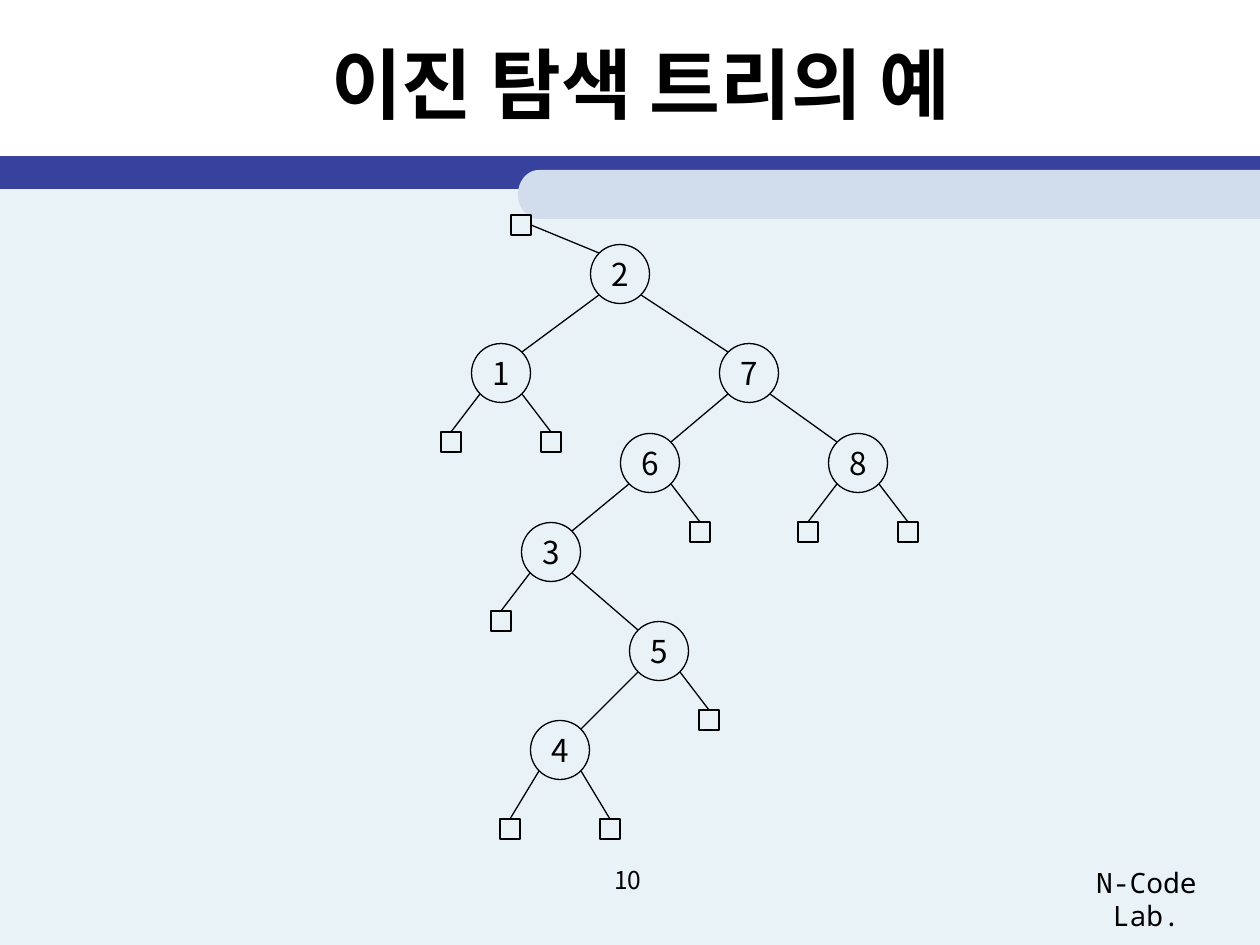
from math import cos, pi, sin

from pptx import Presentation
from pptx import util as u
from pptx.dml.color import RGBColor
from pptx.enum import shapes, text
from pptx.oxml.ns import qn

EMU_PER_PX = 914400 / 126
BLACK = RGBColor(0x00, 0x00, 0x00)
PALE_BLUE = RGBColor(0xE8, 0xF2, 0xF7)
INDIGO = RGBColor(0x36, 0x42, 0x9B)
LIGHT_BLUE = RGBColor(0xD1, 0xDD, 0xEC)
SANS = "Noto Sans CJK KR"
MONO = "Noto Sans Mono"

NODE_SIZE = 59
LEAF_SIZE = 20
DIAGONAL = 21
LEAF_DX = 50
LEAF_DY = 69
LAST_LEAF_DY = 79

NODES = {
    2: (179, 60),
    1: (60, 159),
    7: (308, 159),
    6: (209, 249),
    8: (417, 249),
    3: (110, 338),
    5: (218, 437),
    4: (119, 536),
}
CHILDREN = {
    2: (1, 7),
    1: (None, None),
    7: (6, 8),
    6: (3, None),
    8: (None, None),
    3: (None, 5),
    5: (4, None),
    4: (None, None),
}
HEAD_LEAF = (80, 11)


def px(*values):
    return [u.Emu(round(value * EMU_PER_PX)) for value in values]


def style_text(text_frame, size, font_name=SANS, bold=False):
    paragraph = text_frame.paragraphs[0]
    paragraph.alignment = text.PP_ALIGN.CENTER
    for run in paragraph.runs:
        font = run.font
        font.name = font_name
        font.size = u.Pt(size)
        font.bold = bold
        font.color.rgb = BLACK
        east_asian = run._r.get_or_add_rPr().makeelement(qn("a:ea"), {"typeface": font_name})
        font._element.find(qn("a:latin")).addnext(east_asian)


def fill_shape(shape, color):
    shape.shadow.inherit = False
    shape.fill.solid()
    shape.fill.fore_color.rgb = color
    shape.line.fill.background()


def add_outline(slide, kind, center_x, center_y, size):
    left, top = center_x - size / 2, center_y - size / 2
    shape = slide.shapes.add_shape(kind, *px(left, top, size, size))
    shape.shadow.inherit = False
    shape.fill.background()
    shape.line.color.rgb = BLACK
    shape.line.width = u.Pt(0.75)
    return shape


def add_edge(slide, start, end):
    connector = slide.shapes.add_connector(shapes.MSO_CONNECTOR.STRAIGHT, *px(*start, *end))
    connector.line.color.rgb = BLACK
    connector.line.width = u.Pt(0.75)
    properties = connector._element.spPr
    properties.append(properties.makeelement(qn("a:effectLst"), {}))


def add_node(slide, key, center_x, center_y):
    shape = add_outline(slide, shapes.MSO_SHAPE.OVAL, center_x, center_y, NODE_SIZE)
    text_frame = shape.text_frame
    text_frame.text = str(key)
    text_frame.word_wrap = False
    text_frame.vertical_anchor = text.MSO_ANCHOR.MIDDLE
    style_text(text_frame, 18)


def add_leaf(slide, center_x, center_y):
    add_outline(slide, shapes.MSO_SHAPE.RECTANGLE, center_x, center_y, LEAF_SIZE)


def add_background(slide, left, top, width, height):
    bands = [(0, height, PALE_BLUE), (-20, 33, INDIGO)]
    for offset, band_height, color in bands:
        band = slide.shapes.add_shape(
            shapes.MSO_SHAPE.RECTANGLE, *px(left, top + offset, width, band_height)
        )
        fill_shape(band, color)


def add_tab(slide, left, top, width, height):
    radius_x, radius_y = 21, height / 2
    steps = 24
    arc = [
        px(
            left + radius_x - radius_x * sin(pi * step / steps),
            top + radius_y - radius_y * cos(pi * step / steps),
        )
        for step in range(steps + 1)
    ]
    right, upper, lower = px(left + width, top, top + height)
    builder = slide.shapes.build_freeform(right, upper)
    builder.add_line_segments(arc + [(right, lower)], close=True)
    fill_shape(builder.convert_to_shape(), LIGHT_BLUE)


def add_title(slide, left, top, width, height):
    title = slide.shapes.title
    title.left, title.top, title.width, title.height = px(left, top, width, height)
    title.text_frame.text = "이진 탐색 트리의 예"
    title.text_frame.vertical_anchor = text.MSO_ANCHOR.MIDDLE
    style_text(title.text_frame, 44, bold=True)


def add_label(slide, wording, size, font_name, left, top, width, height):
    text_frame = slide.shapes.add_textbox(*px(left, top, width, height)).text_frame
    text_frame.word_wrap = True
    text_frame.text = wording
    style_text(text_frame, size, font_name)
    return text_frame


def add_footer(slide, left, top):
    add_label(slide, "10", 14, SANS, left, top, 294, 66)
    lab = add_label(slide, "N-Code Lab.", 16, MONO, left + 566, top, 199, 47)
    lab.paragraphs[0].space_before = u.Pt(10)
    lab.auto_size = text.MSO_AUTO_SIZE.SHAPE_TO_FIT_TEXT


def add_tree(slide, left, top):
    centers = {key: (left + x, top + y) for key, (x, y) in NODES.items()}
    head_x, head_y = left + HEAD_LEAF[0], top + HEAD_LEAF[1]
    root_x, root_y = centers[2]
    add_leaf(slide, head_x, head_y)
    add_edge(
        slide,
        (head_x + LEAF_SIZE / 2, head_y),
        (root_x - DIAGONAL, root_y - DIAGONAL),
    )
    for key, (x, y) in centers.items():
        add_node(slide, key, x, y)
        for side, child in zip((-1, 1), CHILDREN[key]):
            if child is None:
                leaf_x = x + side * LEAF_DX
                leaf_y = y + (LAST_LEAF_DY if key == 4 else LEAF_DY)
                add_leaf(slide, leaf_x, leaf_y)
                end = (leaf_x, leaf_y - LEAF_SIZE / 2)
            else:
                child_x, child_y = centers[child]
                end = (child_x - side * DIAGONAL, child_y - DIAGONAL)
            add_edge(slide, (x + side * DIAGONAL, y + DIAGONAL), end)


def main():
    presentation = Presentation()
    presentation.slide_width, presentation.slide_height = px(1260, 945)
    slide = presentation.slides.add_slide(presentation.slide_layouts[5])
    add_background(slide, 0, 176, 1261, 769)
    add_tab(slide, 518, 170, 743, 49)
    add_footer(slide, 481, 859)
    add_title(slide, 74, 10, 1134, 145)
    add_tree(slide, 441, 214)
    presentation.save("out.pptx")


if __name__ == "__main__":
    main()
